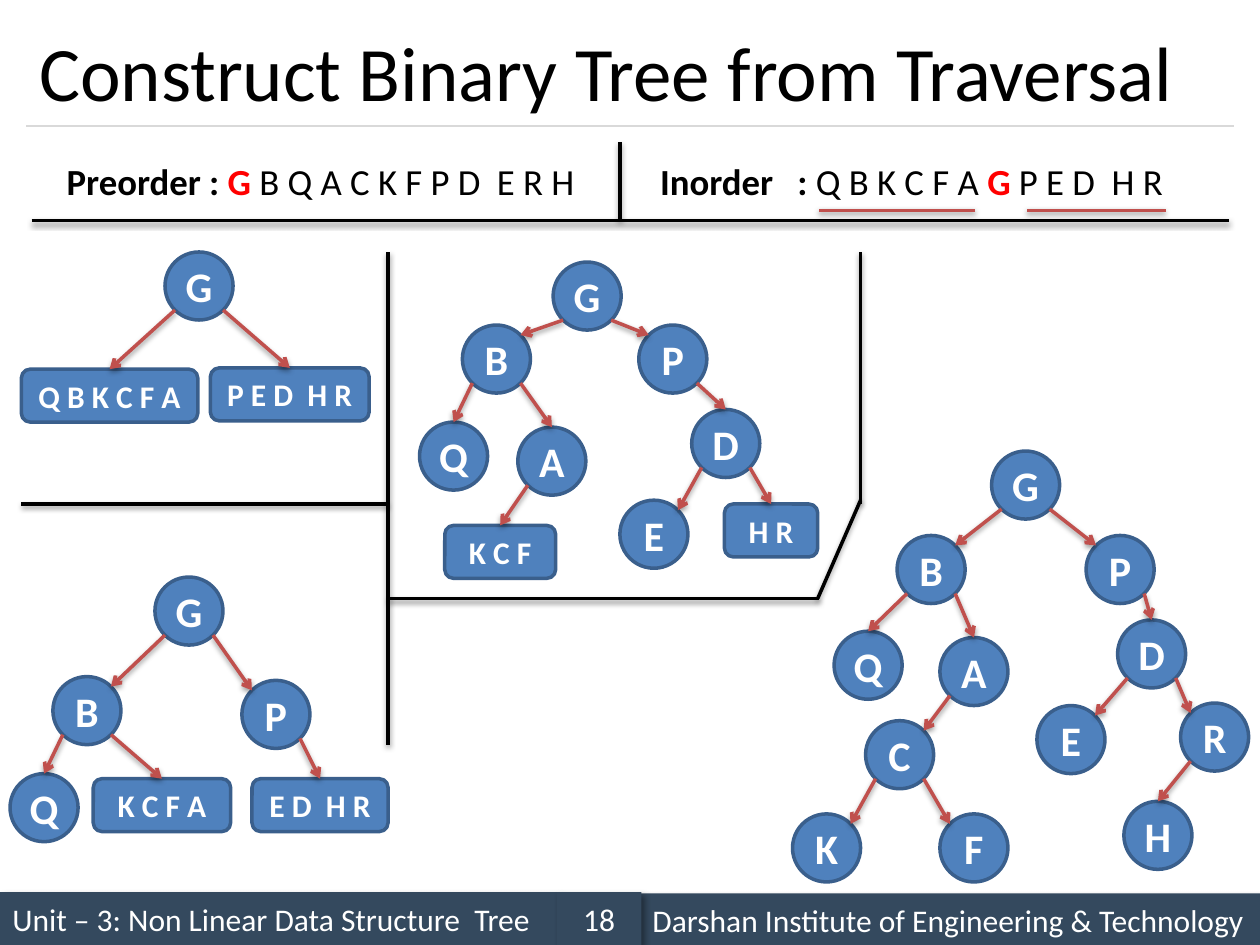
from lxml import etree
from pptx import Presentation
from pptx.dml.color import RGBColor
from pptx.enum.shapes import MSO_CONNECTOR, MSO_SHAPE
from pptx.enum.text import MSO_ANCHOR, PP_ALIGN
from pptx.oxml.ns import qn
from pptx.util import Inches, Pt

STRAIGHT = MSO_CONNECTOR.STRAIGHT
OVAL, ROUNDED, RECTANGLE = MSO_SHAPE.OVAL, MSO_SHAPE.ROUNDED_RECTANGLE, MSO_SHAPE.RECTANGLE
LEFT, CENTER, MIDDLE = PP_ALIGN.LEFT, PP_ALIGN.CENTER, MSO_ANCHOR.MIDDLE

THEME = {
    "font": "Calibri",
    "black": "000000", "white": "FFFFFF", "red": "FF0000",
    "node": "4F81BD", "outline": "3A5F8C", "edge": "C0504D",
    "bar": "34495E", "rule": "D9D9D9",
    "title": 44, "traversal": 21, "circle": 24, "box": 18, "footer": 18,
    "stroke": 2, "thin": 0.75,
}
# Shadows: opacity %, blur pt, distance pt, direction in degrees
LINE_SHADOW = (38, 3.1, 1.6, 90)
BAR_SHADOW = (40, 4, 3, 45)
CIRCLE_SIZE, BOX_HEIGHT = 0.54, 0.42
CORNER = 0.5 - 0.5 * 0.5 ** 0.5  # inset of a circle's diagonal points

# Content
TITLE = "Construct Binary Tree from Traversal"
FOOTER = [  # text, left, top, width, alignment
    ("Unit – 3: Non Linear Data Structure  Tree", 0, 7.08, 4.42, LEFT),
    ("Darshan Institute of Engineering & Technology", 5.08, 7.09, 4.92, LEFT),
    ("18", 4.42, 7.08, 0.67, CENTER),
]
TRAVERSALS = [  # left, width, colon tab, runs of (text, bold, colour)
    (0.43, 4.32, None, [("Preorder : ", True, "black"), ("G", True, "red"),
                        (" B Q A C K F P D  E R H", False, "black")]),
    (5.14, 4.28, 1.09, [("Inorder\t: ", True, "black"), ("Q B K C F A ", False, "black"),
                        ("G", True, "red"), (" P E D  H R", False, "black")]),
]
UNDERLINES = [(7.74, 1.67, 6.5, 1.67), (9.25, 1.67, 8.15, 1.67)]
DIVIDERS = [
    (0.25, 1.75, 9.75, 1.75), (4.92, 1.13, 4.92, 1.75),
    (0.17, 4, 3.08, 4), (3.08, 2, 3.08, 5.91), (3.08, 4.75, 6.5, 4.75),
    (6.49, 4.75, 6.83, 3.97), (6.83, 4, 6.83, 2),
]
# Each tree: circles (left, top), boxes (left, top, width), and edges as
# "parent>child"; top edges end at the child's top, side edges at its near corner
TREES = [
    {"circles": {"G": (1.31, 2)},
     "boxes": {"Q B K C F A": (0.17, 2.93, 1.4), "P E D  H R": (1.67, 2.92, 1.26)},
     "top": ["G>Q B K C F A", "G>P E D  H R"], "side": []},
    {"circles": {"G": (1.23, 4.58), "B": (0.42, 5.37), "Q": (0.08, 6.14), "P": (1.92, 5.4)},
     "boxes": {"K C F A": (0.74, 6.18, 1.09), "E D  H R": (2, 6.18, 1.08)},
     "top": ["B>Q", "B>K C F A", "P>E D  H R"], "side": ["G>B", "G>P"]},
    {"circles": {"G": (4.39, 2.08), "B": (3.67, 2.58), "Q": (3.33, 3.35), "P": (5.07, 2.58),
                 "A": (4.11, 3.39), "D": (5.49, 3.25), "E": (4.92, 3.97)},
     "boxes": {"K C F": (3.53, 4.17, 0.88), "H R": (5.75, 4, 0.74)},
     "top": ["B>Q", "B>A", "P>D", "A>K C F", "D>H R"], "side": ["G>B", "G>P", "D>E"]},
    {"circles": {"G": (7.87, 3.58), "B": (7.12, 4.25), "Q": (6.62, 5.01), "P": (8.62, 4.25),
                 "A": (7.46, 5.06), "D": (8.87, 4.92), "C": (6.87, 5.72), "K": (6.29, 6.46),
                 "F": (7.46, 6.46), "E": (8.23, 5.6), "R": (9.37, 5.58), "H": (8.92, 6.36)},
     "boxes": {},
     "top": ["B>Q", "B>A", "P>D", "R>H"],
     "side": ["G>B", "G>P", "A>C", "D>R", "C>K", "C>F", "D>E"]},
]


def color(name):
    return RGBColor.from_string(THEME[name])


def add_run(paragraph, text, size, color_name, bold=False):
    run = paragraph.add_run()
    run.text = text
    run.font.name = THEME["font"]
    run.font.size = Pt(THEME[size])
    run.font.bold = bold
    run.font.color.rgb = color(color_name)


def set_effects(shape, shadow=None):
    properties = shape._element.spPr
    for existing in properties.findall(qn("a:effectLst")):
        properties.remove(existing)
    effects = etree.SubElement(properties, qn("a:effectLst"))
    if shadow:
        opacity, blur, distance, direction = shadow
        outer = etree.SubElement(effects, qn("a:outerShdw"), blurRad=str(Pt(blur)),
                                 dist=str(Pt(distance)), dir=str(direction * 60000),
                                 rotWithShape="0")
        black = etree.SubElement(outer, qn("a:srgbClr"), val=THEME["black"])
        etree.SubElement(black, qn("a:alpha"), val=str(opacity * 1000))


def add_line(slide, points, color_name, width="stroke", shadow=LINE_SHADOW):
    connector = slide.shapes.add_connector(STRAIGHT, *(Inches(value) for value in points))
    connector.line.color.rgb = color(color_name)
    connector.line.width = Pt(THEME[width])
    set_effects(connector, shadow)
    return connector


def add_filled(slide, kind, bounds, fill, text, size, align=CENTER, bold=False):
    shape = slide.shapes.add_shape(kind, *(Inches(value) for value in bounds))
    shape.shadow.inherit = False
    shape.fill.solid()
    shape.fill.fore_color.rgb = color(fill)
    frame = shape.text_frame
    frame.word_wrap = False
    frame.vertical_anchor = MIDDLE
    frame.paragraphs[0].alignment = align
    add_run(frame.paragraphs[0], text, size, "white", bold)
    return shape


def add_edge(slide, parent, parent_bounds, child, child_bounds, to_top):
    left, top, width, height = parent_bounds
    child_left, child_top, child_width, child_height = child_bounds
    goes_left = child_left + child_width / 2 < left + width / 2
    near, far = (CORNER, 1 - CORNER) if goes_left else (1 - CORNER, CORNER)
    start = (left + width * near, top + height * (1 - CORNER))
    end = (child_left + child_width * far, child_top + child_height * CORNER)
    connector = add_line(slide, start + end, "edge")
    if to_top:
        connector.end_connect(child, 0)
    etree.SubElement(connector.line._get_or_add_ln(), qn("a:tailEnd"), type="arrow")


def add_tree(slide, tree):
    nodes = {}
    for text, (left, top) in tree["circles"].items():
        nodes[text] = OVAL, "circle", (left, top, CIRCLE_SIZE, CIRCLE_SIZE)
    for text, (left, top, width) in tree["boxes"].items():
        nodes[text] = ROUNDED, "box", (left, top, width, BOX_HEIGHT)
    drawn = {}
    for text, (kind, size, bounds) in nodes.items():
        shape = add_filled(slide, kind, bounds, "node", text, size, bold=True)
        shape.line.color.rgb = color("outline")
        shape.line.width = Pt(THEME["stroke"])
        drawn[text] = shape, bounds
    for ending in ("top", "side"):
        for edge in tree[ending]:
            parent, child = edge.split(">")
            add_edge(slide, *drawn[parent], *drawn[child], to_top=ending == "top")


def main():
    presentation = Presentation()
    presentation.slide_width, presentation.slide_height = Inches(10), Inches(7.5)
    slide = presentation.slides.add_slide(presentation.slide_layouts[5])

    # Title and its rule
    title = slide.shapes.title
    title.left, title.top = Inches(0.21), Inches(0.12)
    title.width, title.height = Inches(9.58), Inches(0.88)
    title.text_frame.vertical_anchor = MIDDLE
    title.text_frame.paragraphs[0].alignment = LEFT
    add_run(title.text_frame.paragraphs[0], TITLE, "title", "black")
    add_line(slide, (0.21, 1, 9.79, 1), "rule", "thin", None)

    # Footer bars
    for text, left, top, width, align in FOOTER:
        bar = add_filled(slide, RECTANGLE, (left, top, width, 0.42), "bar", text, "footer", align)
        bar.line.fill.background()
        set_effects(bar, BAR_SHADOW)

    # Traversal sequences
    for left, width, colon_tab, runs in TRAVERSALS:
        box = slide.shapes.add_textbox(Inches(left), Inches(1.21), Inches(width), Inches(0.45))
        box.text_frame.word_wrap = False
        paragraph = box.text_frame.paragraphs[0]
        paragraph.alignment = LEFT
        if colon_tab:
            tabs = etree.SubElement(paragraph._p.get_or_add_pPr(), qn("a:tabLst"))
            etree.SubElement(tabs, qn("a:tab"), pos=str(Inches(colon_tab)), algn="l")
        for text, bold, color_name in runs:
            add_run(paragraph, text, "traversal", color_name, bold)

    # Dividers, underlines and trees
    for points in DIVIDERS:
        add_line(slide, points, "black")
    for points in UNDERLINES:
        add_line(slide, points, "edge")
    for tree in TREES:
        add_tree(slide, tree)

    presentation.save("out.pptx")


if __name__ == "__main__":
    main()
